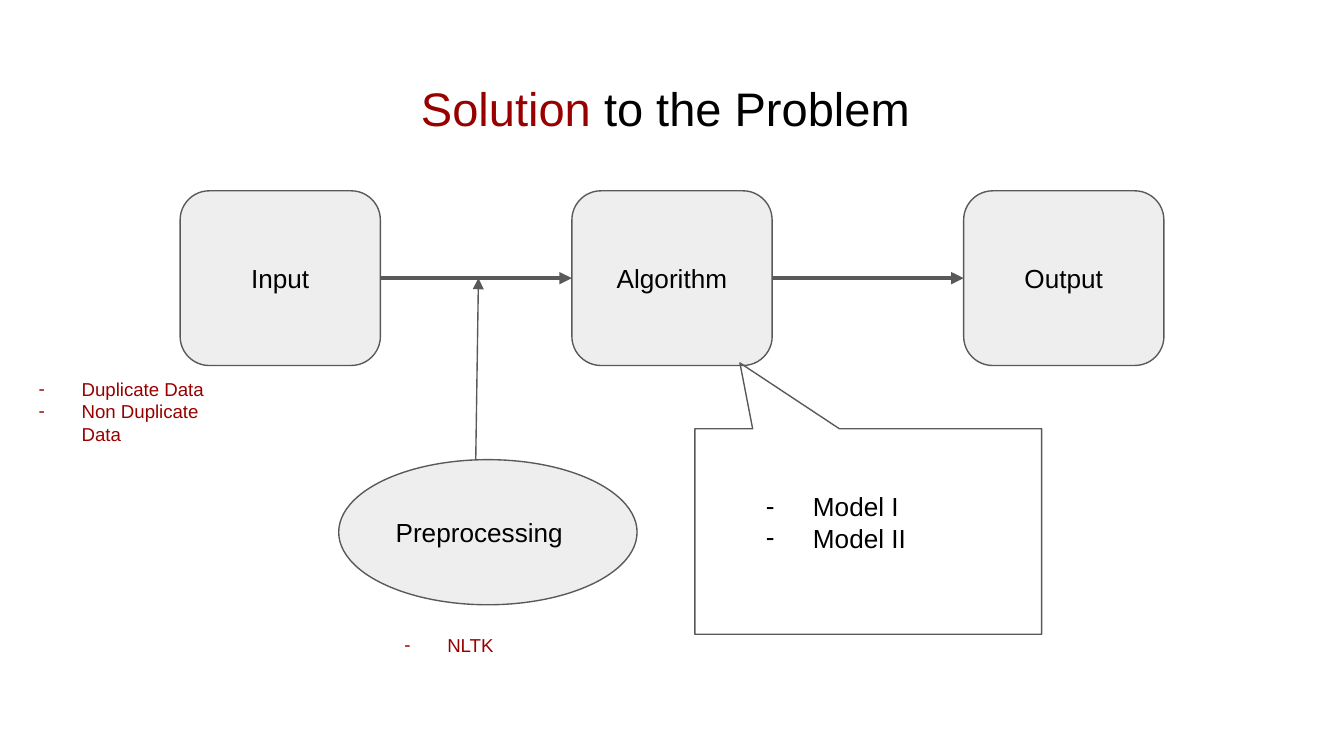
from lxml import etree
from pptx import Presentation
from pptx.dml.color import RGBColor
from pptx.enum.shapes import MSO_CONNECTOR, MSO_SHAPE
from pptx.enum.text import MSO_ANCHOR, PP_ALIGN
from pptx.oxml.ns import qn
from pptx.util import Inches, Pt

COLORS = {"accent": "980000", "text": "000000", "fill": "EEEEEE", "line": "595959"}
FONT = "Arial"
SLIDE_WIDTH = 10
SLIDE_HEIGHT = SLIDE_WIDTH * 9 / 16

# Content: positions are left, top, width, height in inches
TITLE = [("Solution", "accent"), (" to the Problem ", "text")]
STAGES = ["Input", "Algorithm", "Output"]
STAGE_LEFT, STAGE_TOP, STAGE_WIDTH, STAGE_HEIGHT = 1.34, 1.42, 1.49, 1.3
LAST_STAGE_LEFT = 7.17
PREPROCESSING_BOX = (2.52, 3.42, 2.22, 1.08)
CALLOUT_BOX = (5.17, 3.19, 2.58, 1.53)
LISTS = [
    # box, items, size, color, hanging indent
    ((2.73, 4.63, 1.63, 0.37), ["NLTK"], 10, "accent", 0.32),
    ((5.45, 3.55, 1.78, 0.67), ["Model I", "Model II"], 14, "text", 0.35),
    ((0.01, 2.71, 1.63, 0.71), ["Duplicate Data", "Non Duplicate Data"], 10, "accent", 0.32),
]


def color(name):
    return RGBColor.from_string(COLORS[name])


def format_run(run, size, color_name):
    run.font.name = FONT
    run.font.size = Pt(size)
    run.font.color.rgb = color(color_name)


def set_margins(text_frame):
    text_frame.word_wrap = True
    text_frame.margin_left = text_frame.margin_right = Inches(0.1)
    text_frame.margin_top = text_frame.margin_bottom = Inches(0.1)


def add_text_box(box):
    text_frame = slide.shapes.add_textbox(*map(Inches, box)).text_frame
    set_margins(text_frame)
    return text_frame


def add_shape(kind, box, text="", alignment=PP_ALIGN.CENTER, fill="fill"):
    shape = slide.shapes.add_shape(kind, *map(Inches, box))
    shape.shadow.inherit = False
    if fill:
        shape.fill.solid()
        shape.fill.fore_color.rgb = color(fill)
    else:
        shape.fill.background()
    shape.line.color.rgb = color("line")
    shape.line.width = Pt(0.75)
    if text:
        text_frame = shape.text_frame
        set_margins(text_frame)
        text_frame.vertical_anchor = MSO_ANCHOR.MIDDLE
        text_frame.text = text
        paragraph = text_frame.paragraphs[0]
        paragraph.alignment = alignment
        format_run(paragraph.runs[0], 14, "text")
    return shape


def add_arrow(start, end, width):
    arrow = slide.shapes.add_connector(MSO_CONNECTOR.STRAIGHT, *map(Inches, start + end))
    arrow.line.color.rgb = color("line")
    arrow.line.width = Pt(width)
    etree.SubElement(arrow.line._get_or_add_ln(), qn("a:tailEnd"), type="triangle")
    etree.SubElement(arrow._element.spPr, qn("a:effectLst"))
    return arrow


def add_dash(paragraph, color_name, hanging):
    properties = paragraph._p.get_or_add_pPr()
    properties.set("marL", str(Inches(0.5)))
    properties.set("indent", str(-Inches(hanging)))
    bullet_color = etree.SubElement(properties, qn("a:buClr"))
    etree.SubElement(bullet_color, qn("a:srgbClr"), val=COLORS[color_name])
    etree.SubElement(properties, qn("a:buFont"), typeface=FONT)
    etree.SubElement(properties, qn("a:buChar"), char="-")


presentation = Presentation()
presentation.slide_width = Inches(SLIDE_WIDTH)
presentation.slide_height = Inches(SLIDE_HEIGHT)
slide = presentation.slides.add_slide(presentation.slide_layouts[6])

# Title
title = add_text_box((0.34, 0.49, 9.32, 0.63))
title.vertical_anchor = MSO_ANCHOR.MIDDLE
title.paragraphs[0].alignment = PP_ALIGN.CENTER
for text, color_name in TITLE:
    run = title.paragraphs[0].add_run()
    run.text = text
    format_run(run, 25.2, color_name)

# Stages, evenly spaced
step = (LAST_STAGE_LEFT - STAGE_LEFT) / (len(STAGES) - 1)
stages = []
for index, name in enumerate(STAGES):
    box = (STAGE_LEFT + index * step, STAGE_TOP, STAGE_WIDTH, STAGE_HEIGHT)
    stages.append(add_shape(MSO_SHAPE.ROUNDED_RECTANGLE, box, name))

# Arrows from stage to stage
middle = STAGE_TOP + STAGE_HEIGHT / 2
for source, target in zip(stages, stages[1:]):
    arrow = add_arrow((source.left.inches, middle), (target.left.inches, middle), 2.25)
    arrow.begin_connect(source, 3)
    arrow.end_connect(target, 1)

# Preprocessing feeds the first arrow
add_shape(MSO_SHAPE.OVAL, PREPROCESSING_BOX, "Preprocessing", PP_ALIGN.LEFT)
add_arrow((3.54, PREPROCESSING_BOX[1]), (3.56, middle), 0.75)

# Callout pointing up at the algorithm
callout = add_shape(MSO_SHAPE.ROUNDED_RECTANGULAR_CALLOUT, CALLOUT_BOX, fill=None)
for index, value in enumerate((-0.37, -0.82, 0)):
    callout.adjustments[index] = value

# Dashed lists
for box, items, size, color_name, hanging in LISTS:
    text_frame = add_text_box(box)
    text_frame.text = "\n".join(items)
    for paragraph in text_frame.paragraphs:
        add_dash(paragraph, color_name, hanging)
        format_run(paragraph.runs[0], size, color_name)

presentation.save("out.pptx")
